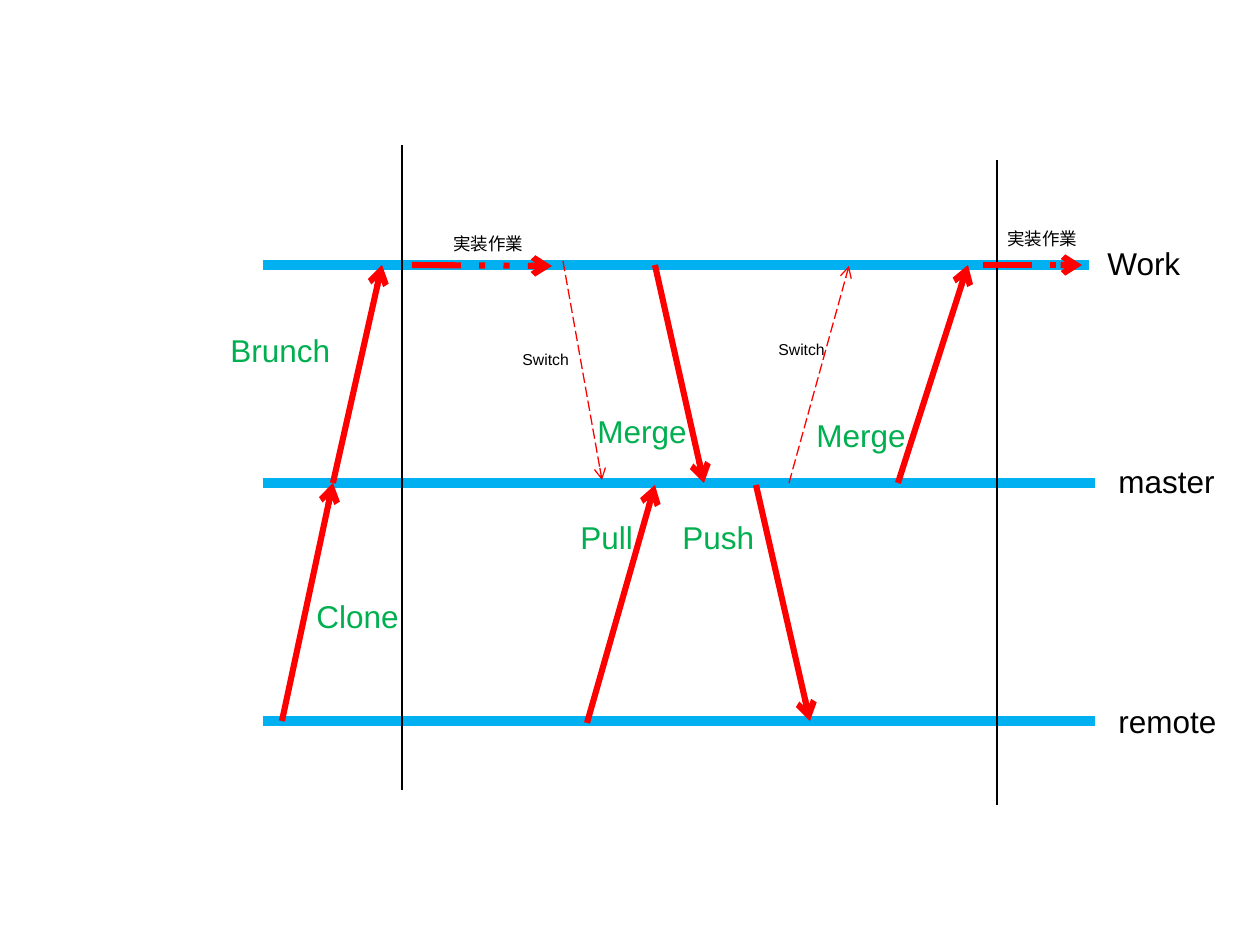
from pptx import Presentation
from pptx.dml.color import RGBColor
from pptx.enum.dml import MSO_LINE
from pptx.enum.shapes import MSO_CONNECTOR
from pptx.oxml.ns import qn
from pptx.util import Emu, Pt
from lxml.etree import SubElement

PX = 914400 / 126
COLORS = {"lane": "00B0F0", "arrow": "FF0000", "command": "00B050", "text": "000000"}
WORK, MASTER, REMOTE = 120, 338, 576  # lane heights within the diagram


def px(n):
    return Emu(round(n * PX))


def add_line(s, box, start, end, color, width, dash=None, arrow=False):
    x, y = box
    c = s.shapes.add_connector(MSO_CONNECTOR.STRAIGHT, px(x + start[0]), px(y + start[1]),
                               px(x + end[0]), px(y + end[1]))
    c.line.color.rgb = RGBColor.from_string(COLORS[color])
    c.line.width = Pt(width)
    if dash:
        c.line.dash_style = dash
    if arrow:
        SubElement(c._element.spPr.find(qn("a:ln")), qn("a:tailEnd"), type="arrow")
    SubElement(c._element.spPr, qn("a:effectLst"))


def add_label(s, box, text, left, top, width, height, size, color="text"):
    sp = s.shapes.add_textbox(px(box[0] + left), px(box[1] + top), px(width), px(height))
    tf = sp.text_frame
    tf.word_wrap = True
    tf.text = text
    r = tf.paragraphs[0].runs[0]
    r.font.name = "Arial"
    r.font.size = Pt(size)
    r.font.color.rgb = RGBColor.from_string(COLORS[color])


def add_lanes(s, box):
    for name, y, length, left, top, width in [
        ("remote", REMOTE, 832, 843, 551, 125),
        ("master", MASTER, 832, 843, 311, 139),
        ("Work", WORK, 826, 832, 93, 110),
    ]:
        add_line(s, box, (0, y), (length, y), "lane", 6)
        add_label(s, box, name, left, top, width, 50, 18)


def add_dividers(s, box):
    for x, top in [(139, 0), (734, 15)]:
        add_line(s, box, (x, top), (x, top + 645), "text", 0.75)


def add_commands(s, box):
    # Solid arrows between lanes, each with its command
    for text, left, top, width, start, end in [
        ("Clone", 41, 446, 118, (19, REMOTE), (70, MASTER)),
        ("Brunch", -45, 180, 139, (70, MASTER), (119, WORK)),
        ("Pull", 305, 367, 79, (324, REMOTE + 2), (392, MASTER + 2)),
        ("Merge", 322, 261, 139, (392, WORK), (441, MASTER)),
        ("Push", 407, 367, 100, (493, MASTER + 2), (547, REMOTE)),
        ("Merge", 541, 265, 129, (635, MASTER), (705, WORK)),
    ]:
        add_line(s, box, start, end, "arrow", 3.5, arrow=True)
        add_label(s, box, text, left, top, width, 50, 18, "command")


def add_switches(s, box):
    # Thin dashed arrows between Work and master
    for left, top, width, start, end in [
        (247, 199, 82, (300, WORK - 4), (339, MASTER - 3)),
        (503, 189, 74, (526, MASTER), (586, WORK + 1)),
    ]:
        add_line(s, box, start, end, "arrow", 0.75, MSO_LINE.LONG_DASH, True)
        add_label(s, box, "Switch", left, top, width, 32, 9)


def add_work_phases(s, box):
    # Dash-dot arrows along the Work lane
    for left, top, start, end in [
        (178, 82, (149, WORK), (289, WORK + 1)),
        (732, 77, (720, WORK), (819, WORK)),
    ]:
        add_line(s, box, start, end, "arrow", 3.5, MSO_LINE.DASH_DOT_DOT, True)
        add_label(s, box, "実装作業", left, top, 100, 34, 10)


prs = Presentation()
prs.slide_width, prs.slide_height = px(1260), px(945)
s = prs.slides.add_slide(prs.slide_layouts[6])
diagram = (263, 145)
for add_part in (add_lanes, add_dividers, add_commands, add_switches, add_work_phases):
    add_part(s, diagram)
prs.save("out.pptx")
